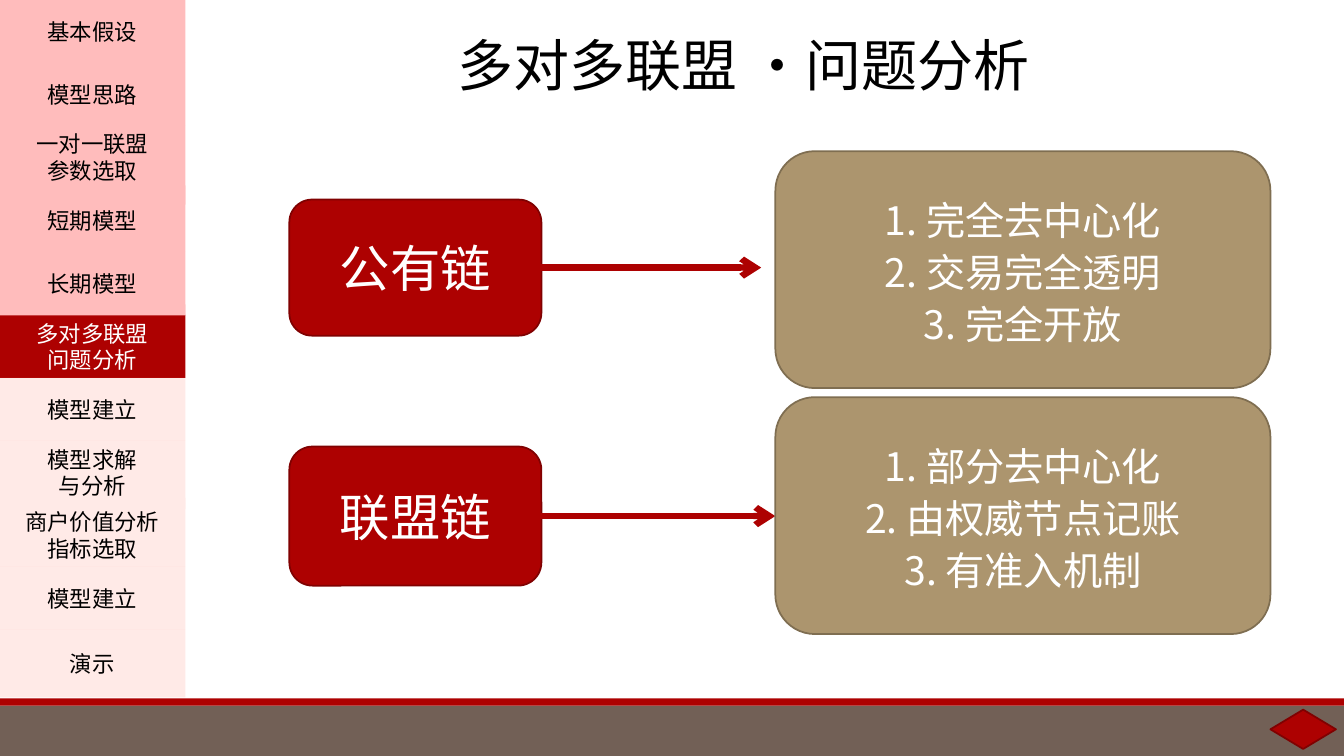
from pptx import Presentation
from pptx.dml.color import RGBColor
from pptx.enum.shapes import MSO_CONNECTOR, MSO_SHAPE as SHAPE
from pptx.enum.text import MSO_ANCHOR, PP_ALIGN
from pptx.oxml.ns import qn
from pptx.util import Inches, Pt
from lxml.etree import SubElement

RED, DARK_RED = "AD0101", "800101"
TAN, DARK_TAN = "AC956E", "7F6E51"
PINK, PALE, FAINT = "FFBCBC", "FFBAB0", "FFEAE7"
BROWN, WHITE, BLACK = "726056", "FFFFFF", "000000"

MENU = ["基本假设", "模型思路", "一对一联盟\v参数选取", "短期模型", "长期模型",
        "多对多联盟\v问题分析", "模型建立", "模型求解\n与分析",
        "商户价值分析\v指标选取", "模型建立", "演示"]
CURRENT = 5
MENU_LEFT, MENU_WIDTH, MENU_BOTTOM = -0.01, 1.85, 6.92
MENU_STEP = 5 / 8

CHAINS = [
    ("公有链", "1. 完全去中心化\v2. 交易完全透明\v3. 完全开放", 1.5, 1.98, 1.35, 7.55),
    ("联盟链", "1. 部分去中心化\v2. 由权威节点记账\n3. 有准入机制", 3.94, 4.43, 1.38, 7.69),
]


def rgb(color):
    return RGBColor.from_string(color)


class Slide:
    font = "Noto Sans CJK SC"

    def __init__(self, prs):
        self.s = prs.slides.add_slide(prs.slide_layouts[6])

    def set_text(self, tf, text, size, color, align=PP_ALIGN.CENTER, spacing=None):
        tf.word_wrap = True
        tf.text = text
        for p in tf.paragraphs:
            p.alignment = align
            p.line_spacing = spacing
            for r in p.runs:
                r.font.size = Pt(size)
                r.font.color.rgb = rgb(color)
                r.font.name = self.font
                SubElement(r._r.get_or_add_rPr(), qn("a:ea"), typeface=self.font)

    def shape(self, kind, x, y, w, h, fill, line=None, alpha=None):
        sp = self.s.shapes.add_shape(kind, Inches(x), Inches(y), Inches(w), Inches(h))
        sp.shadow.inherit = False
        sp.fill.solid()
        sp.fill.fore_color.rgb = rgb(fill)
        if alpha:
            clr = sp._element.spPr.find(qn("a:solidFill"))[0]
            SubElement(clr, qn("a:alpha"), val=str(alpha * 1000))
        if line:
            sp.line.color.rgb = rgb(line)
            sp.line.width = Pt(1.25)
        else:
            sp.line.fill.background()
        return sp

    def label(self, sp, text, size, color, spacing=None):
        sp.text_frame.vertical_anchor = MSO_ANCHOR.MIDDLE
        self.set_text(sp.text_frame, text, size, color, spacing=spacing)

    def title(self, text, x, y, w, h):
        tb = self.s.shapes.add_textbox(Inches(x), Inches(y), Inches(w), Inches(h))
        self.set_text(tb.text_frame, text, 40, BLACK, PP_ALIGN.LEFT)

    def arrow(self, x1, x2, y):
        c = self.s.shapes.add_connector(MSO_CONNECTOR.STRAIGHT, Inches(x1), Inches(y),
                                        Inches(x2), Inches(y))
        c.line.color.rgb = rgb(RED)
        c.line.width = Pt(4.5)
        spPr = c._element.spPr
        SubElement(spPr.find(qn("a:ln")), qn("a:tailEnd"), type="arrow")
        SubElement(spPr, qn("a:effectLst"))


def main():
    prs = Presentation()
    prs.slide_width, prs.slide_height = Inches(13.33), Inches(7.5)
    slide = Slide(prs)

    slide.shape(SHAPE.RECTANGLE, 0, 7, 13.33, 0.5, BROWN)
    slide.shape(SHAPE.RECTANGLE, 0, 6.93, 13.33, 0.07, RED)

    for name, traits, traits_top, top, height, arrow_end in CHAINS:
        box = slide.shape(SHAPE.ROUNDED_RECTANGLE, 2.87, top, 2.5, height, RED, DARK_RED)
        slide.label(box, name, 36, WHITE)
        slide.arrow(5.36, arrow_end, top + height / 2)
        box = slide.shape(SHAPE.ROUNDED_RECTANGLE, 7.69, traits_top, 4.91, 2.35, TAN, DARK_TAN)
        slide.label(box, traits, 28, WHITE, 1.1)

    slide.title("多对多联盟 ·问题分析", 4.44, 0.25, 8.78, 0.77)

    for i, text in enumerate(MENU):
        top = i * MENU_STEP
        height = MENU_BOTTOM - top if i == len(MENU) - 1 else MENU_STEP
        fill = PINK if i < CURRENT else RED if i == CURRENT else PALE
        item = slide.shape(SHAPE.RECTANGLE, MENU_LEFT, top, MENU_WIDTH, height, fill,
                           alpha=30 if i > CURRENT else None)
        slide.label(item, text, 16, WHITE if i == CURRENT else BLACK)

    for top, height, fill in [(4.94, 0.11, FAINT), (1.84, 0.19, PINK), (3.02, 0.11, PINK)]:
        slide.shape(SHAPE.RECTANGLE, MENU_LEFT, top, MENU_WIDTH, height, fill)

    slide.shape(SHAPE.FLOWCHART_DECISION, 12.6, 7.04, 0.65, 0.39, RED, DARK_RED)
    prs.save("out.pptx")


if __name__ == "__main__":
    main()
